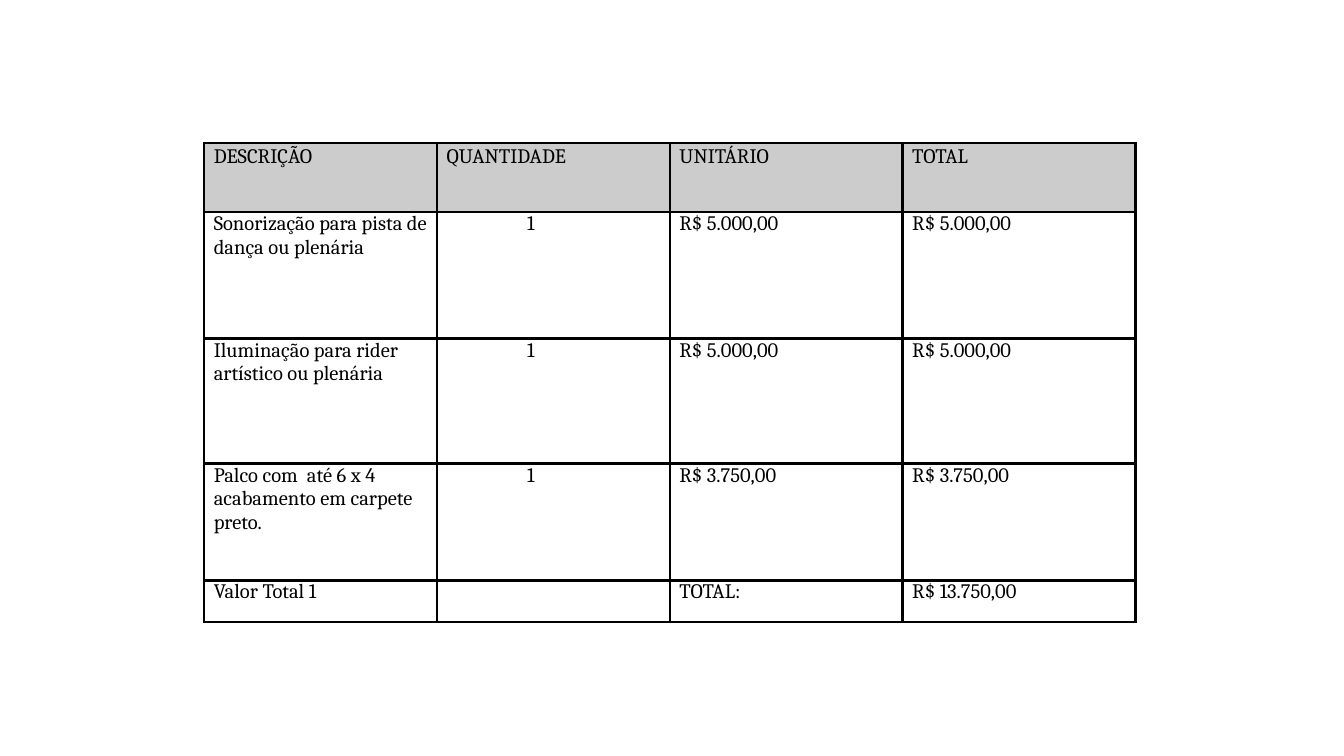
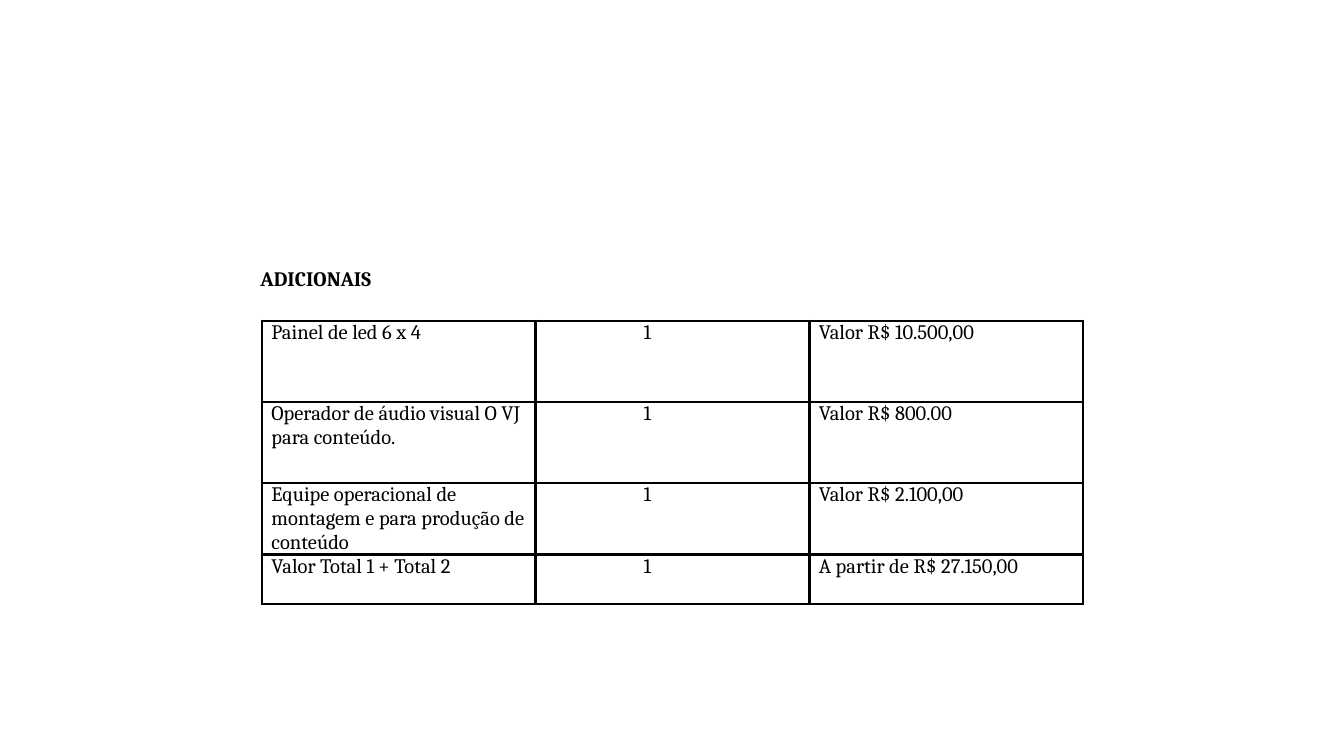
from lxml.etree import SubElement
from pptx import Presentation
from pptx.dml.color import RGBColor
from pptx.enum.text import MSO_ANCHOR, MSO_AUTO_SIZE, PP_ALIGN
from pptx.oxml.ns import qn
from pptx.util import Cm, Pt

BLACK, GREY = "000000", "CCCCCC"
FONT, SIZE, BORDER = "Cambria", Pt(11), Pt(1.5)
LINE_SPACING, SPACE_AFTER = 1.08, Pt(8)
QUANTITY_COL = 1

SERVICES = [
    ["DESCRIÇÃO", "QUANTIDADE", "UNITÁRIO", "TOTAL"],
    ["Sonorização para pista de dança ou plenária", "1", "R$ 5.000,00", "R$ 5.000,00"],
    ["Iluminação para rider artístico ou plenária", "1", "R$ 5.000,00", "R$ 5.000,00"],
    ["Palco com  até 6 x 4 acabamento em carpete preto.", "1", "R$ 3.750,00", "R$ 3.750,00"],
    ["Valor Total 1", "", "TOTAL:", "R$ 13.750,00"],
]
EXTRAS = [
    ["Painel de led 6 x 4", "1", "Valor R$ 10.500,00"],
    ["Operador de áudio visual O VJ para conteúdo.", "1", "Valor R$ 800.00"],
    ["Equipe operacional de montagem e para produção de conteúdo", "1", "Valor R$ 2.100,00"],
    ["Valor Total 1 + Total 2", "1", "A partir de R$ 27.150,00"],
]


def rgb(value):
    """Turn a hex string into a colour."""
    return RGBColor.from_string(value)


def format_runs(p, bold=False):
    """Give every run of a paragraph the shared font."""
    for r in p.runs:
        r.font.name, r.font.size, r.font.bold = FONT, SIZE, bold
        r.font.color.rgb = rgb(BLACK)


def space_paragraph(p):
    """Apply the spacing shared by the heading and the header row."""
    p.line_spacing, p.space_after = LINE_SPACING, SPACE_AFTER


def add_borders(cell):
    """Draw the four black borders of a cell."""
    tc_pr = cell._tc.get_or_add_tcPr()
    for side in ("lnL", "lnR", "lnT", "lnB"):
        ln = SubElement(tc_pr, qn(f"a:{side}"), w=str(BORDER))
        fill = SubElement(ln, qn("a:solidFill"))
        SubElement(fill, qn("a:srgbClr"), val=BLACK)


def fill_cell(cell, text, header, indent):
    """Write and format one table cell."""
    cell.margin_left = cell.margin_right = Cm(0.18)
    cell.margin_top = cell.margin_bottom = 0
    add_borders(cell)
    if header:
        cell.fill.solid()
        cell.fill.fore_color.rgb = rgb(GREY)
    else:
        cell.fill.background()
    p = cell.text_frame.paragraphs[0]
    p.text = text
    if header:
        space_paragraph(p)
    elif indent:
        p._p.get_or_add_pPr().set("marL", str(Cm(indent)))
    format_runs(p)


def add_price_table(slide, data, left, top, width, heights, indent, has_header=False):
    """Add a table with equal columns and an indented quantity column."""
    cols = len(data[0])
    table = slide.shapes.add_table(len(data), cols, Cm(left), Cm(top),
                                   Cm(width), Cm(sum(heights))).table
    table.first_row, table.horz_banding = has_header, False
    for col in table.columns:
        col.width = Cm(width / cols)
    for i, (row, height) in enumerate(zip(data, heights)):
        table.rows[i].height = Cm(height)
        for j, text in enumerate(row):
            fill_cell(table.cell(i, j), text, has_header and i == 0,
                      indent if j == QUANTITY_COL else 0)


def set_heading(slide, text, left, top, width, height):
    """Place the title placeholder as a small bold heading."""
    sp = slide.shapes.title
    sp.left, sp.top, sp.width, sp.height = Cm(left), Cm(top), Cm(width), Cm(height)
    tf = sp.text_frame
    tf.text = text
    tf.word_wrap, tf.auto_size = True, MSO_AUTO_SIZE.NONE
    tf.vertical_anchor = MSO_ANCHOR.MIDDLE
    tf.margin_left = tf.margin_right = tf.margin_top = tf.margin_bottom = Cm(0.25)
    p = tf.paragraphs[0]
    p.alignment, p.space_before = PP_ALIGN.LEFT, Pt(0)
    space_paragraph(p)
    format_runs(p, bold=True)


def build_services(prs):
    """Build the slide with the main price table."""
    slide = prs.slides.add_slide(prs.slide_layouts[6])
    add_price_table(slide, SERVICES, 3.86, 2.7, 17.6, [1.31, 2.39, 2.36, 2.21, 0.79],
                    indent=1.52, has_header=True)


def build_extras(prs):
    """Build the slide with the additional items."""
    slide = prs.slides.add_slide(prs.slide_layouts[5])
    left, top = 4.95, 6.07
    set_heading(slide, "ADICIONAIS", left - 0.28, top - 1.65, 8.33, 1.65)
    add_price_table(slide, EXTRAS, left, top, 15.52, [1.53, 1.53, 1.35, 0.94], indent=1.86)


def main():
    """Create the presentation."""
    prs = Presentation()
    prs.slide_width, prs.slide_height = Cm(25.4), Cm(14.29)
    build_services(prs)
    build_extras(prs)
    prs.save("out.pptx")


if __name__ == "__main__":
    main()
